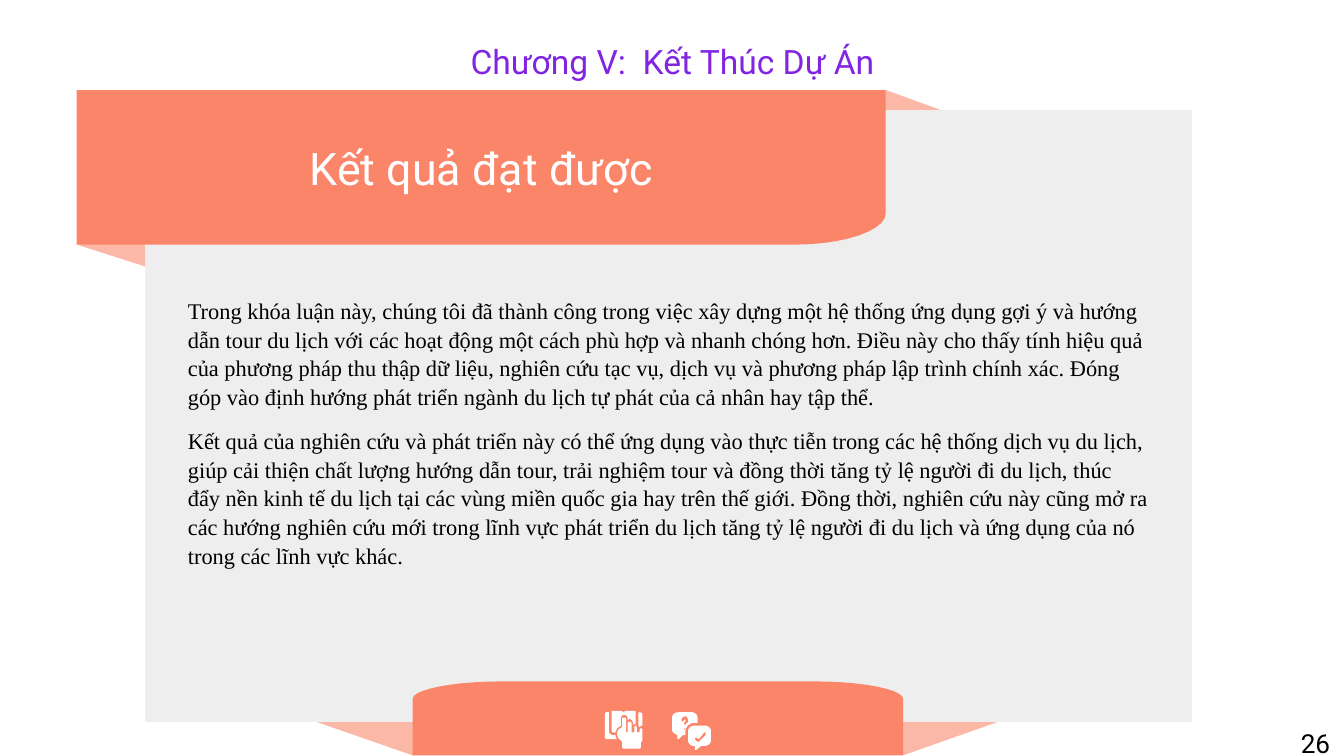
from lxml import etree
from pptx import Presentation
from pptx.dml.color import RGBColor
from pptx.enum.text import MSO_ANCHOR, PP_ALIGN
from pptx.oxml.ns import qn
from pptx.util import Inches, Pt

SLIDE_WIDTH = 10
SLIDE_HEIGHT = SLIDE_WIDTH * 9 / 16
CORAL, GRAY, WHITE, BLACK, PURPLE = "FB8569", "EEEEEE", "FFFFFF", "000000", "8225E2"
CURVE_STEPS = 10

# Outlines in inches: M = move, L = line, C = cubic curve; each contour is closed
RIBBON_FOLDS = [
    "M 1.37 1.77 L 0.57 1.82 L 1.42 2.09",
    "M 3.26 5.33 L 2.35 5.37 L 3.07 5.62",
    "M 6.53 5.33 L 6.72 5.62 L 7.43 5.37",
    "M 6.59 0.67 L 6.44 0.91 L 7.25 0.91",
]
PANEL = "M 1.08 0.82 L 1.08 5.37 L 8.87 5.37 L 8.87 0.82"
BANNER = "M 0.57 0.67 L 0.57 1.82 L 5.92 1.82 C 6.29 1.82 6.59 1.71 6.59 1.59 L 6.59 0.67"
BOTTOM_TAB = ("M 3.74 5.07 C 3.37 5.07 3.07 5.13 3.07 5.2 L 3.07 5.62 L 6.72 5.62 "
              "L 6.72 5.2 C 6.72 5.13 6.42 5.07 6.05 5.07")
TOUCH_ICON = [
    # Hand
    "M 4.64 5.34 C 4.64 5.34 4.63 5.34 4.63 5.35 L 4.63 5.41 L 4.6 5.43 "
    "C 4.59 5.45 4.59 5.47 4.6 5.49 L 4.63 5.52 L 4.63 5.56 C 4.63 5.57 4.64 5.57 4.64 5.57 "
    "L 4.76 5.57 C 4.76 5.57 4.77 5.57 4.77 5.56 L 4.77 5.52 C 4.78 5.52 4.78 5.51 4.78 5.5 "
    "L 4.78 5.43 C 4.78 5.43 4.78 5.42 4.77 5.42 C 4.76 5.42 4.76 5.43 4.76 5.43 "
    "L 4.76 5.44 C 4.76 5.45 4.75 5.45 4.75 5.45 C 4.74 5.45 4.74 5.45 4.74 5.44 "
    "L 4.74 5.42 C 4.74 5.41 4.73 5.4 4.73 5.4 C 4.72 5.4 4.72 5.41 4.72 5.42 "
    "L 4.72 5.44 C 4.72 5.45 4.71 5.45 4.71 5.45 C 4.7 5.45 4.7 5.45 4.7 5.44 "
    "L 4.7 5.38 C 4.7 5.38 4.69 5.37 4.69 5.37 C 4.68 5.37 4.67 5.38 4.67 5.38 "
    "L 4.67 5.44 C 4.67 5.45 4.67 5.45 4.66 5.45 C 4.66 5.45 4.66 5.45 4.66 5.44 "
    "L 4.66 5.35 C 4.66 5.34 4.65 5.34 4.64 5.34",
    # Right edge, left edge and page behind the hand
    "M 4.75 5.3 L 4.75 5.4 L 4.76 5.41 L 4.77 5.4 L 4.78 5.4 L 4.78 5.31 L 4.77 5.3",
    "M 4.51 5.3 L 4.5 5.31 L 4.5 5.49 L 4.51 5.5 L 4.59 5.5 C 4.58 5.49 4.58 5.48 4.58 5.47 "
    "L 4.56 5.47 C 4.55 5.47 4.53 5.46 4.53 5.44 L 4.53 5.3",
    "M 4.56 5.29 L 4.55 5.29 L 4.55 5.44 L 4.56 5.45 L 4.58 5.45 "
    "C 4.58 5.44 4.59 5.43 4.59 5.42 L 4.62 5.4 L 4.62 5.35 C 4.62 5.33 4.63 5.32 4.64 5.32 "
    "C 4.66 5.32 4.67 5.33 4.67 5.35 L 4.67 5.36 L 4.68 5.35 C 4.7 5.35 4.71 5.37 4.71 5.38 "
    "L 4.71 5.39 L 4.73 5.39 L 4.73 5.29 L 4.67 5.29 C 4.66 5.29 4.65 5.29 4.64 5.3 "
    "C 4.63 5.29 4.62 5.29 4.61 5.29",
]
CHAT_ICON = [
    # Answer bubble with a check mark cut out
    "M 5.25 5.45 L 5.25 5.47 L 5.2 5.52 L 5.19 5.52 L 5.17 5.5 L 5.17 5.49 L 5.19 5.49 "
    "L 5.2 5.5 L 5.24 5.45 "
    "M 5.16 5.4 C 5.14 5.4 5.12 5.42 5.12 5.44 L 5.12 5.51 C 5.12 5.53 5.14 5.55 5.16 5.55 "
    "L 5.17 5.55 L 5.17 5.58 L 5.18 5.58 L 5.22 5.55 L 5.24 5.55 "
    "C 5.27 5.55 5.29 5.53 5.29 5.51 L 5.29 5.44 C 5.29 5.42 5.27 5.4 5.25 5.4",
    # Question bubble with a question mark cut out
    "M 5.1 5.33 C 5.11 5.33 5.12 5.35 5.12 5.36 C 5.12 5.37 5.12 5.38 5.11 5.38 "
    "C 5.11 5.38 5.1 5.39 5.1 5.39 L 5.1 5.4 L 5.09 5.39 C 5.09 5.38 5.09 5.37 5.1 5.37 "
    "L 5.1 5.35 L 5.09 5.36 C 5.09 5.36 5.08 5.37 5.08 5.37 C 5.07 5.37 5.07 5.36 5.07 5.36 "
    "C 5.07 5.35 5.08 5.33 5.1 5.33 "
    "M 5.1 5.42 L 5.1 5.43 L 5.09 5.43 L 5.09 5.42 "
    "M 5.05 5.3 C 5.02 5.3 5 5.32 5 5.34 L 5 5.43 C 5 5.45 5.02 5.46 5.04 5.47 "
    "L 5.04 5.5 L 5.05 5.5 L 5.08 5.47 L 5.1 5.47 L 5.1 5.44 "
    "C 5.1 5.41 5.13 5.38 5.16 5.38 L 5.19 5.38 L 5.19 5.34 C 5.19 5.32 5.17 5.3 5.15 5.3",
]

RESULTS = [
    "Trong khóa luận này, chúng tôi đã thành công trong việc xây dựng một hệ thống ứng dụng "
    "gợi ý và hướng dẫn tour du lịch với các hoạt động một cách phù hợp và nhanh chóng hơn. "
    "Điều này cho thấy tính hiệu quả của phương pháp thu thập dữ liệu, nghiên cứu tạc vụ, "
    "dịch vụ và phương pháp lập trình chính xác. Đóng góp vào định hướng phát triển ngành "
    "du lịch tự phát của cả nhân hay tập thể.",
    "Kết quả của nghiên cứu và phát triển này có thể ứng dụng vào thực tiễn trong các hệ "
    "thống dịch vụ du lịch, giúp cải thiện chất lượng hướng dẫn tour, trải nghiệm tour và "
    "đồng thời tăng tỷ lệ người đi du lịch, thúc đẩy nền kinh tế du lịch tại các vùng miền "
    "quốc gia hay trên thế giới. Đồng thời, nghiên cứu này cũng mở ra các hướng nghiên cứu "
    "mới trong lĩnh vực phát triển du lịch tăng tỷ lệ người đi du lịch và ứng dụng của nó "
    "trong các lĩnh vực khác.",
]


def color(hex_code):
    return RGBColor.from_string(hex_code)


def curve_points(start, first, second, end):
    for step in range(1, CURVE_STEPS + 1):
        t = step / CURVE_STEPS
        weights = ((1 - t) ** 3, 3 * t * (1 - t) ** 2, 3 * t * t * (1 - t), t ** 3)
        yield tuple(sum(weight * point[axis] for weight, point
                        in zip(weights, (start, first, second, end))) for axis in (0, 1))


def read_contours(outline):
    """Turn an outline into closed lists of points."""
    contours = []
    tokens = iter(outline.split())
    for command in tokens:
        count = 3 if command == "C" else 1
        points = [(Inches(float(next(tokens))), Inches(float(next(tokens))))
                  for _ in range(count)]
        if command == "M":
            contours.append(points)
        elif command == "L":
            contours[-1] += points
        else:
            contours[-1] += curve_points(contours[-1][-1], *points)
    return contours


def add_outline(slide, outline, fill, opacity=None):
    contours = read_contours(outline)
    builder = slide.shapes.build_freeform(*contours[0][0])
    for contour in contours:
        if contour is not contours[0]:
            builder.move_to(*contour[0])
        builder.add_line_segments(contour[1:], close=True)
    shape = builder.convert_to_shape()
    shape.shadow.inherit = False
    shape.line.fill.background()
    shape.fill.solid()
    shape.fill.fore_color.rgb = color(fill)
    if opacity is not None:
        fill_color = shape.element.spPr.find(qn("a:solidFill"))[0]
        etree.SubElement(fill_color, qn("a:alpha"), val=str(opacity * 1000))
    return shape


def write_text(shape, texts, size, hex_code, font="Roboto", align=PP_ALIGN.CENTER,
               anchor=MSO_ANCHOR.MIDDLE, line_spacing=None, space_after=None,
               wrap=True, inset=0.1):
    frame = shape.text_frame
    frame.word_wrap = wrap
    frame.vertical_anchor = anchor
    frame.margin_left = frame.margin_right = Inches(0.1)
    frame.margin_top = frame.margin_bottom = Inches(inset)
    for index, text in enumerate(texts):
        paragraph = frame.paragraphs[0] if index == 0 else frame.add_paragraph()
        paragraph.text = text
        paragraph.alignment = align
        paragraph.line_spacing = line_spacing
        paragraph.space_after = space_after
        paragraph.font.size = Pt(size)
        paragraph.font.name = font
        paragraph.font.color.rgb = color(hex_code)


def add_text(slide, box, texts, size, hex_code, **options):
    shape = slide.shapes.add_textbox(*map(Inches, box))
    write_text(shape, texts, size, hex_code, **options)


def main():
    presentation = Presentation()
    presentation.slide_width = Inches(SLIDE_WIDTH)
    presentation.slide_height = Inches(SLIDE_HEIGHT)
    slide = presentation.slides.add_slide(presentation.slide_layouts[6])

    # Chapter title
    add_text(slide, (0.78, 0.19, 8.45, 0.53), ["Chương V:  Kết Thúc Dự Án"], 18, PURPLE)

    # Panel with its ribbons
    for fold in RIBBON_FOLDS:
        add_outline(slide, fold, CORAL, opacity=58)
    add_outline(slide, PANEL, GRAY)
    banner = add_outline(slide, BANNER, CORAL)
    write_text(banner, ["Kết quả đạt được"], 24, WHITE)
    add_outline(slide, BOTTOM_TAB, CORAL)

    # Results
    add_text(slide, (1.3, 2.05, 7.36, 2.33), RESULTS, 12, BLACK, font="Times New Roman",
             align=PP_ALIGN.LEFT, line_spacing=1.07, space_after=Pt(8))

    # Icons on the bottom tab
    for outline in TOUCH_ICON + CHAT_ICON:
        add_outline(slide, outline, WHITE)

    # Page number
    add_text(slide, (9.58, 5.36, 0.42, 0.34), ["26"], 14, BLACK, align=PP_ALIGN.LEFT,
             anchor=MSO_ANCHOR.TOP, wrap=False, inset=0.05)

    presentation.save("out.pptx")


if __name__ == "__main__":
    main()
